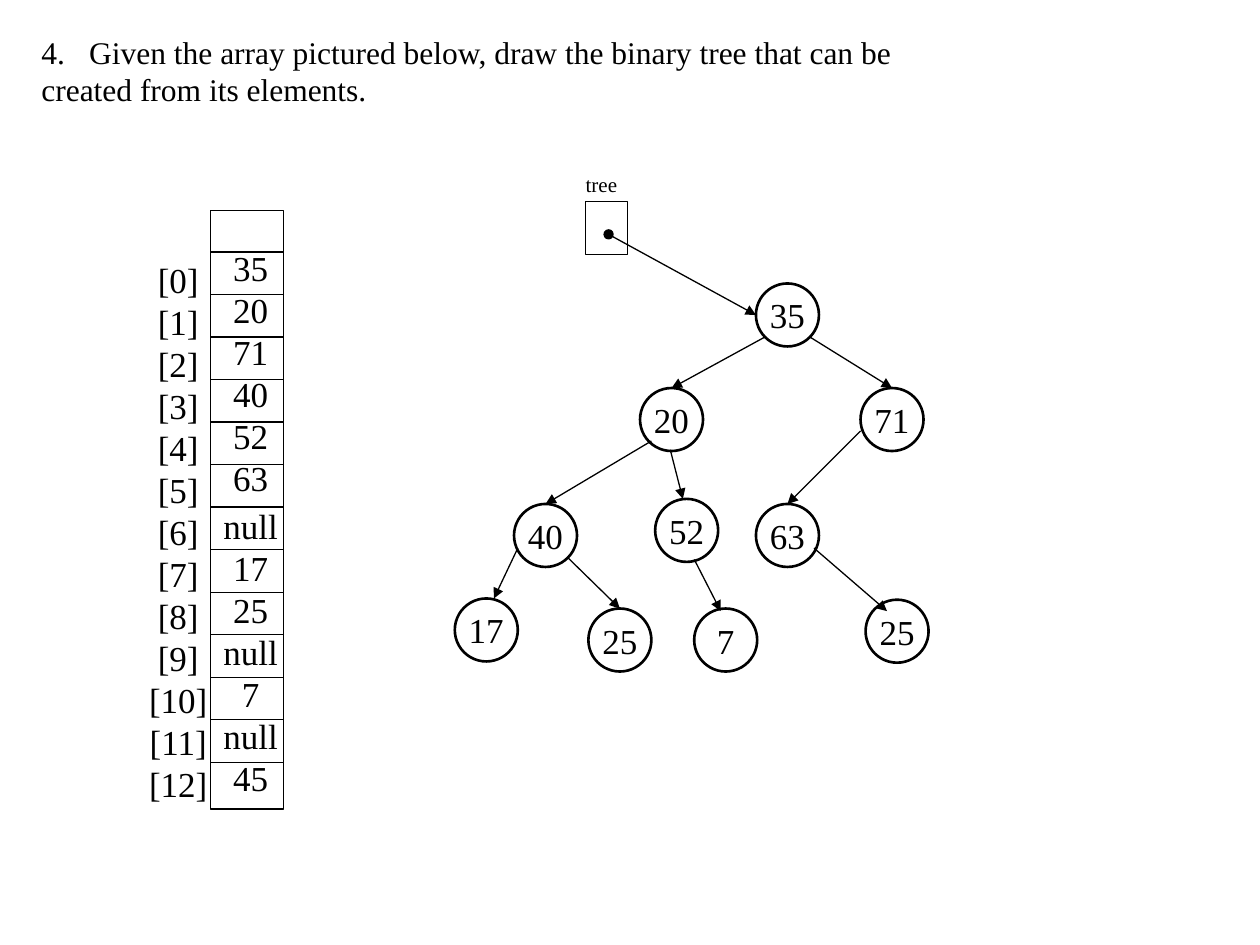
from lxml import etree
from pptx import Presentation
from pptx.dml.color import RGBColor
from pptx.enum import shapes as kinds, text as te
from pptx.oxml.ns import qn
from pptx.util import Inches, Pt

FONT = "Times New Roman"
INK = "000000"
CELLS = ["35", "20", "71", "40", "52", "63", "null",
         "17", "25", "null", "7", "null", "45"]
STEP = 0.3375
NODES = [("35", 6, 2.25), ("20", 5.08, 3.08), ("71", 6.83, 3.08),
         ("40", 4.08, 4), ("52", 5.2, 3.96), ("63", 6, 4),
         ("17", 3.61, 4.75), ("25", 4.67, 4.83), ("7", 5.51, 4.83),
         ("25", 6.87, 4.76)]
EDGES = [(6.08, 2.67, 5.33, 3.08), (6.42, 2.67, 7.08, 3.08),
         (5.17, 3.5, 4.33, 4), (5.32, 3.57, 5.42, 3.96),
         (6.83, 3.42, 6.25, 4), (4.11, 4.35, 3.92, 4.75),
         (4.5, 4.42, 4.92, 4.83), (5.51, 4.44, 5.72, 4.85),
         (6.46, 4.35, 7.04, 4.85)]


def color(code):
    """Turn a hex string into a colour."""
    return RGBColor.from_string(code)


def write(frame, lines, size=20, align=te.PP_ALIGN.CENTER, gaps=None):
    """Fill a text frame; gaps maps a line number to points before it."""
    frame.word_wrap = False
    for i, line in enumerate(lines):
        para = frame.paragraphs[0] if i == 0 else frame.add_paragraph()
        para.alignment = align
        if gaps and i in gaps:
            para.space_before = Pt(gaps[i])
        run = para.add_run()
        run.text = line
        run.font.size = Pt(size)
        run.font.name = FONT
        run.font.color.rgb = color(INK)


def label(parent, box, lines, **style):
    """Add a text box that grows with its lines."""
    frame = parent.add_textbox(*map(Inches, box)).text_frame
    write(frame, lines, **style)
    frame.auto_size = te.MSO_AUTO_SIZE.SHAPE_TO_FIT_TEXT
    return frame


def number(para, start, indent):
    """Give a paragraph an automatic number and a hanging indent."""
    props = para._p.get_or_add_pPr()
    props.set("marL", str(Inches(indent)))
    props.set("indent", str(-Inches(indent)))
    etree.SubElement(props, qn("a:buFont"), typeface=FONT)
    etree.SubElement(props, qn("a:buAutoNum"), type="arabicPeriod",
                     startAt=str(start))


def outline(parent, kind, box, width=0.75):
    """Add an unfilled shape with a plain outline."""
    shape = parent.add_shape(kind, *map(Inches, box))
    shape.shadow.inherit = False
    shape.fill.background()
    shape.line.color.rgb = color(INK)
    shape.line.width = Pt(width)
    return shape


def line(parent, ends, **tips):
    """Draw a straight line; headEnd and tailEnd name its tips."""
    link = parent.add_connector(kinds.MSO_CONNECTOR.STRAIGHT,
                                *map(Inches, ends))
    link.line.color.rgb = color(INK)
    link.line.width = Pt(0.75)
    for tag, tip in tips.items():
        etree.SubElement(link.line._get_or_add_ln(), qn("a:" + tag), type=tip)
    etree.SubElement(link._element.spPr, qn("a:effectLst"))


def array(parent):
    """Draw the array with its indexes and values."""
    group = parent.add_group_shape().shapes
    outline(group, kinds.MSO_SHAPE.RECTANGLE, (1.67, 1.67, 0.58, 4.75))
    label(group, (1.08, 2, 0.67, 4.48), [f"[{i}]" for i in range(len(CELLS))])
    for i in range(len(CELLS)):
        y = 2 + i * STEP
        line(group, (1.67, y, 2.25, y))
    label(parent, (1.67, 1.91, 0.64, 4.48), CELLS, gaps={6: 3})


def node(parent, name, x, y):
    """Draw one round tree node."""
    shape = outline(parent, kinds.MSO_SHAPE.OVAL, (x, y, 0.5, 0.5), width=1.5)
    write(shape.text_frame, [name])
    shape.text_frame.vertical_anchor = te.MSO_ANCHOR.MIDDLE


def tree(parent):
    """Draw the root pointer, the nodes and their arrows."""
    label(parent, (4.55, 1.31, 0.45, 0.3), ["tree"], size=12,
          align=te.PP_ALIGN.LEFT)
    outline(parent, kinds.MSO_SHAPE.RECTANGLE, (4.65, 1.6, 0.33, 0.42))
    for item in NODES:
        node(parent, *item)
    line(parent, (4.83, 1.86, 6, 2.5), headEnd="oval", tailEnd="triangle")
    for ends in EDGES:
        line(parent, ends, tailEnd="triangle")


def main():
    """Build the slide and save it."""
    deck = Presentation()
    deck.slide_width, deck.slide_height = Inches(10), Inches(7.5)
    parent = deck.slides.add_slide(deck.slide_layouts[6]).shapes
    task = label(parent, (0.23, 0.21, 7.02, 0.71),
                 ["Given the array pictured below, draw the binary tree "
                  "that can be", "created from its elements."],
                 size=18, align=te.PP_ALIGN.LEFT)
    number(task.paragraphs[0], 4, 0.38)
    array(parent)
    tree(parent)
    deck.save("out.pptx")


main()
